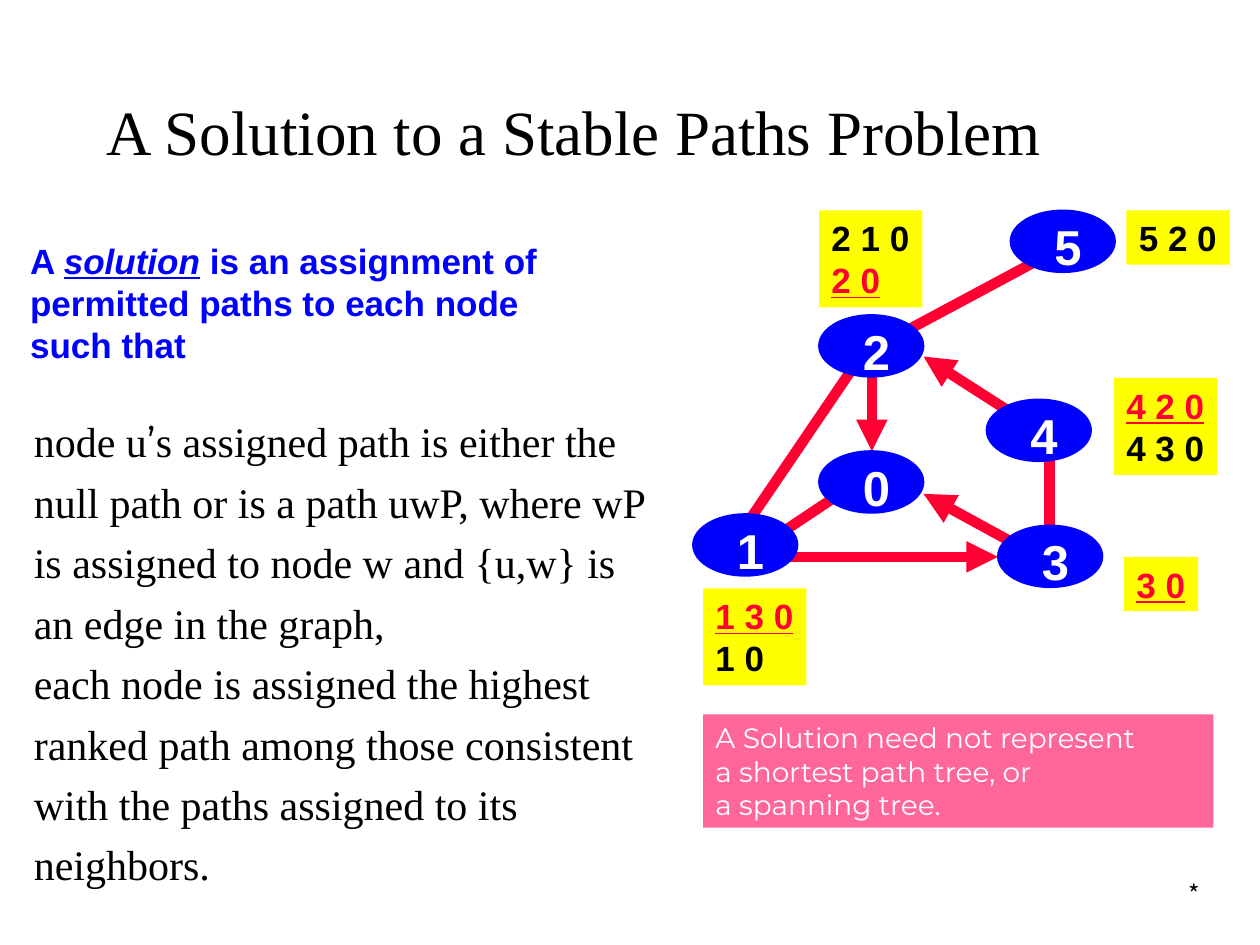
from dataclasses import dataclass

from lxml import etree
from pptx import Presentation
from pptx.dml.color import RGBColor
from pptx.enum.shapes import MSO_CONNECTOR, MSO_SHAPE
from pptx.enum.text import MSO_ANCHOR, MSO_AUTO_SIZE, PP_ALIGN
from pptx.oxml.ns import qn
from pptx.util import Inches, Pt


@dataclass(frozen=True)
class Theme:
    black: str = "000000"
    white: str = "FFFFFF"
    blue: str = "0000FF"
    red: str = "FF0033"
    yellow: str = "FFFF00"
    pink: str = "FF6699"
    serif: str = "Times New Roman"
    sans: str = "Arial"
    note_font: str = "Montserrat"
    mark_font: str = "Noto Sans CJK SC"
    title: int = 36
    node: int = 28
    body: int = 24
    label: int = 20
    note: int = 16
    mark: int = 14
    edge: int = 6


T = Theme()
NODE_W, NODE_H = 0.83, 0.49

NODES = {
    "5": (8.02, 1.67),
    "0": (6.5, 3.58),
    "3": (7.92, 4.17),
    "4": (7.83, 3.17),
    "2": (6.5, 2.5),
    "1": (5.5, 4.08),
}

# (from, to, arrowhead at the end)
EDGES = [
    ((7.11, 2.67), (8.36, 2), False),
    ((8.33, 3.5), (8.33, 4.42), False),
    ((6.83, 2.83), (5.92, 4.17), False),
    ((8.25, 3.42), (7.33, 2.83), True),
    ((6.92, 2.83), (6.92, 3.58), True),
    ((6.92, 3.75), (6.17, 4.25), False),
    ((8.08, 4.33), (7.33, 3.92), True),
    ((6.08, 4.42), (7.92, 4.42), True),
]

# (box, permitted paths in rank order, assigned path)
PATHS = [
    ((8.94, 1.67, 0.82, 0.43), ["5 2 0"], None),
    ((6.5, 1.67, 0.82, 0.77), ["2 1 0", "2 0"], "2 0"),
    ((5.58, 4.67, 0.82, 0.77), ["1 3 0", "1 0"], "1 3 0"),
    ((8.92, 4.42, 0.59, 0.43), ["3 0"], "3 0"),
    ((8.84, 3, 0.82, 0.77), ["4 2 0", "4 3 0"], "4 2 0"),
]


class Canvas:
    def __init__(self, s):
        self.s = s

    def set_text(self, sp, paras, size, font, color, bold=False, wrap=True,
                 align=PP_ALIGN.LEFT, anchor=MSO_ANCHOR.TOP, spacing=None):
        """Fill a shape; each paragraph is a string or a list of (text, run styles)."""
        tf = sp.text_frame
        tf.word_wrap = wrap
        tf.auto_size = MSO_AUTO_SIZE.NONE
        tf.vertical_anchor = anchor
        for i, para in enumerate(paras):
            p = tf.paragraphs[0] if i == 0 else tf.add_paragraph()
            p.alignment = align
            if spacing:
                p.line_spacing = spacing
            for text, style in [(para, {})] if isinstance(para, str) else para:
                r = p.add_run()
                r.text = text
                r.font.size = Pt(size)
                r.font.name = style.get("font", font)
                r.font.bold = bold
                r.font.italic = style.get("italic")
                r.font.underline = style.get("underline")
                r.font.color.rgb = RGBColor.from_string(style.get("color", color))

    def text(self, box, paras, size, font, color, **kw):
        sp = self.s.shapes.add_textbox(*map(Inches, box))
        self.set_text(sp, paras, size, font, color, **kw)

    def shape(self, kind, box, fill):
        sp = self.s.shapes.add_shape(kind, *map(Inches, box))
        sp.shadow.inherit = False
        sp.fill.solid()
        sp.fill.fore_color.rgb = RGBColor.from_string(fill)
        sp.line.fill.background()
        return sp

    def edge(self, start, end, arrow):
        c = self.s.shapes.add_connector(MSO_CONNECTOR.STRAIGHT, *map(Inches, start + end))
        c.line.width = Pt(T.edge)
        c.line.color.rgb = RGBColor.from_string(T.red)
        sp_pr = c._element.spPr
        if arrow:
            etree.SubElement(sp_pr.find(qn("a:ln")), qn("a:tailEnd"), type="triangle")
        etree.SubElement(sp_pr, qn("a:effectLst"))

    def node(self, name, x, y):
        sp = self.shape(MSO_SHAPE.OVAL, (x, y, NODE_W, NODE_H), T.blue)
        sp.line.color.rgb = RGBColor.from_string(T.blue)
        sp.line.width = Pt(1)
        self.text((x + 0.25, y, 0.42, 0.57), [name], T.node, T.sans, T.white,
                  bold=True, wrap=False)

    def paths(self, box, paths, assigned):
        chosen = {"color": T.red, "underline": True}
        paras = [[(path, chosen if path == assigned else {})] for path in paths]
        sp = self.shape(MSO_SHAPE.RECTANGLE, box, T.yellow)
        self.set_text(sp, paras, T.label, T.sans, T.black, bold=True, wrap=False)

    def note(self, box, lines):
        sp = self.shape(MSO_SHAPE.RECTANGLE, box, T.pink)
        self.set_text(sp, lines, T.note, T.note_font, T.white)


def main():
    prs = Presentation()
    prs.slide_width, prs.slide_height = Inches(10), Inches(7.5)
    c = Canvas(prs.slides.add_slide(prs.slide_layouts[6]))

    c.text((9.04, 6.93, 0.58, 0.33), ["*"], T.mark, T.mark_font, T.black,
           align=PP_ALIGN.RIGHT)
    c.text((0.75, 0.66, 8.5, 0.75), ["A Solution to a Stable Paths Problem"],
           T.title, T.serif, T.black, anchor=MSO_ANCHOR.MIDDLE)

    for edge in EDGES:
        c.edge(*edge)
    for box, paths, assigned in PATHS:
        c.paths(box, paths, assigned)
    for name, (x, y) in NODES.items():
        c.node(name, x, y)

    c.text((0.17, 3.17, 5.08, 3.67), [
        [("node u", {}), ("’", {"font": T.note_font}),
         ("s assigned path is either the null path or is a path uwP, where wP "
          "is assigned to node w and {u,w} is an edge in the graph,", {})],
        "each node is assigned the highest ranked path among those consistent "
        "with the paths assigned to its neighbors.",
    ], T.body, T.serif, T.black, spacing=1.2)
    c.note((5.58, 5.67, 4.05, 0.9), ["A Solution need not represent",
                                     "a shortest path tree, or",
                                     "a spanning tree."])
    c.text((0.14, 1.85, 4.31, 1.1), [
        [("A ", {}), ("solution", {"italic": True, "underline": True}),
         (" is an assignment of", {})],
        "permitted paths to each node",
        "such that",
    ], T.label, T.sans, T.blue, bold=True, wrap=False)

    prs.save("out.pptx")


if __name__ == "__main__":
    main()
